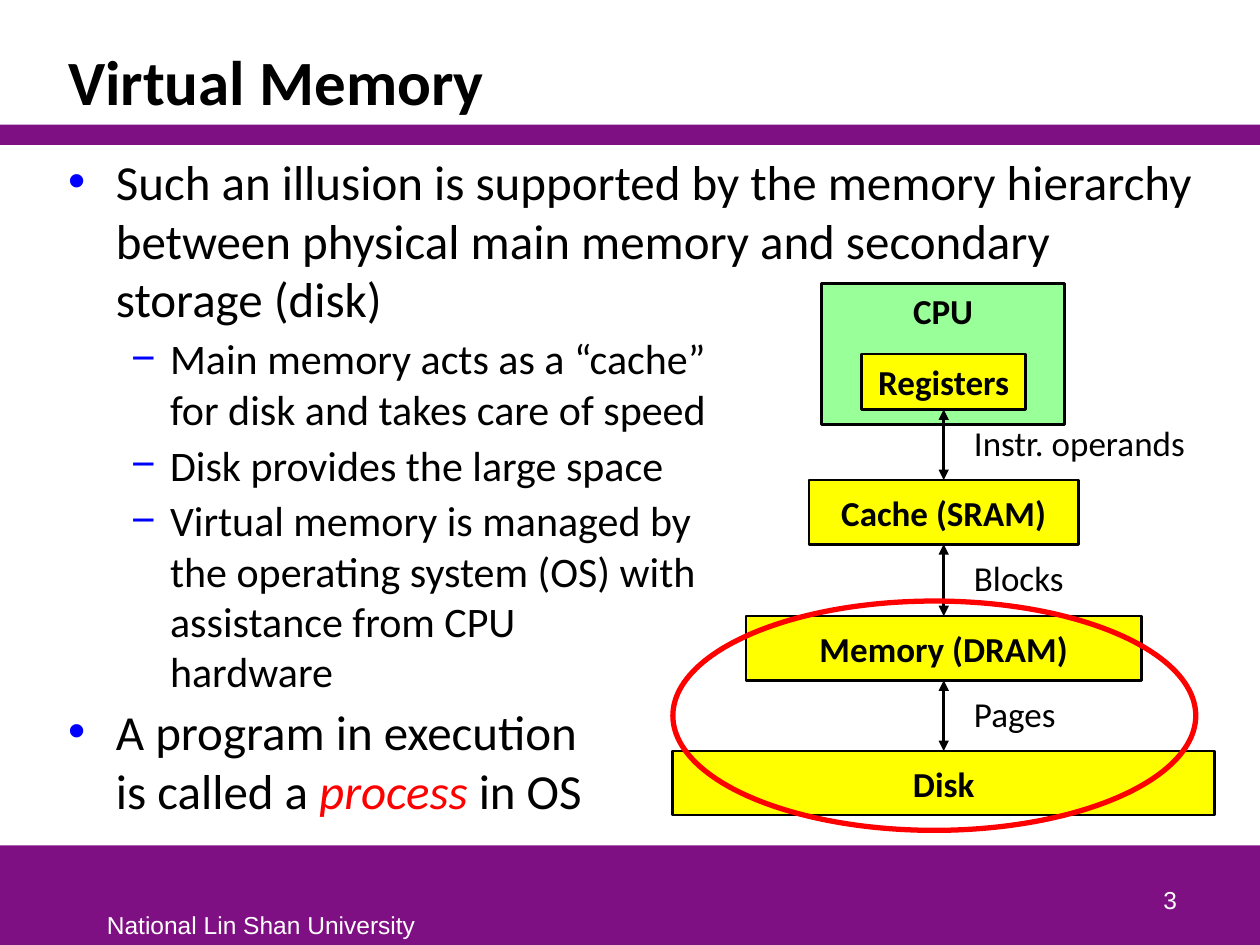
from dataclasses import dataclass

import lxml.etree
import pptx
import pptx.dml.color
import pptx.enum.shapes
import pptx.enum.text
import pptx.oxml.ns
import pptx.util

Inches = pptx.util.Inches
Pt = pptx.util.Pt
qn = pptx.oxml.ns.qn
Shape = pptx.enum.shapes.MSO_SHAPE
Anchor = pptx.enum.text.MSO_ANCHOR
Align = pptx.enum.text.PP_ALIGN

COLORS = {
    "purple": "7F1084",
    "green": "99FF99",
    "yellow": "FFFF00",
    "red": "FF0000",
    "blue": "0000FF",
    "black": "000000",
    "white": "FFFFFF",
}
AXIS = 7.49  # centre line of the memory hierarchy


@dataclass
class Level:
    """One storage level and the unit it exchanges with the level below."""
    name: str
    top: float
    width: float
    height: float = 0.51
    transfer: str = ""


@dataclass
class Bullet:
    spans: list  # (text, colour name, italic)
    level: int = 0


LEVELS = [
    Level("Registers", 2.81, 1.3, 0.44, "Instr. operands"),
    Level("Cache (SRAM)", 3.81, 2.14, transfer="Blocks"),
    Level("Memory (DRAM)", 4.89, 3.14, transfer="Pages"),
    Level("Disk", 5.96, 4.3),
]
BULLETS = [
    Bullet([("Such an illusion is supported by the memory hierarchy between "
             "physical main memory and secondary storage (disk)", "black", False)]),
    Bullet([("Main memory acts as a “cache” \nfor disk and takes care of speed",
             "black", False)], 1),
    Bullet([("Disk provides the large space", "black", False)], 1),
    Bullet([("Virtual memory is managed by \nthe operating system (OS) with\n"
             "assistance from CPU \nhardware", "black", False)], 1),
    Bullet([("A program in execution\nis called a ", "black", False),
            ("process ", "red", True), ("in OS", "black", False)]),
]
BULLET_STYLES = [("•", 28, 0.38, -0.38), ("−", 24, 0.81, -0.31)]


def rgb(name: str):
    return pptx.dml.color.RGBColor.from_string(COLORS[name])


def write(para, text: str, size: float, color: str = "black", font: str = "Calibri",
          bold: bool = False, italic: bool = False, align=None, spacing=None) -> None:
    """Append formatted text to a paragraph, with newlines as line breaks."""
    for index, line in enumerate(text.split("\n")):
        if index:
            para.add_line_break()
        span = para.add_run()
        span.text = line
        span.font.size = Pt(size)
        span.font.name = font
        span.font.bold = bold
        span.font.italic = italic
        span.font.color.rgb = rgb(color)
    if align is not None:
        para.alignment = align
    if spacing is not None:
        para.line_spacing = spacing


def place(shape, left: float, top: float, width: float, height: float) -> None:
    shape.left, shape.top = Inches(left), Inches(top)
    shape.width, shape.height = Inches(width), Inches(height)


def add_box(page, kind, left: float, top: float, width: float, height: float,
            fill: str = "", line: str = "", weight: float = 1.5, text: str = "",
            anchor=Anchor.MIDDLE):
    box = page.shapes.add_shape(kind, Inches(left), Inches(top), Inches(width), Inches(height))
    box.shadow.inherit = False
    if fill:
        box.fill.solid()
        box.fill.fore_color.rgb = rgb(fill)
    else:
        box.fill.background()
    if line:
        box.line.color.rgb = rgb(line)
        box.line.width = Pt(weight)
    else:
        box.line.fill.background()
    if text:
        box.text_frame.word_wrap = False
        box.text_frame.vertical_anchor = anchor
        write(box.text_frame.paragraphs[0], text, 20, bold=True, align=Align.CENTER)
    return box


def add_label(page, left: float, top: float, width: float, height: float, text: str,
              size: float, wrap: bool = False, anchor=Anchor.TOP, margins=(0.1, 0.05),
              **text_format) -> None:
    box = page.shapes.add_textbox(Inches(left), Inches(top), Inches(width), Inches(height))
    frame = box.text_frame
    frame.word_wrap = wrap
    frame.vertical_anchor = anchor
    frame.margin_left = frame.margin_right = Inches(margins[0])
    frame.margin_top = frame.margin_bottom = Inches(margins[1])
    write(frame.paragraphs[0], text, size, **text_format)


def add_double_arrow(page, upper, lower) -> None:
    arrow = page.shapes.add_connector(pptx.enum.shapes.MSO_CONNECTOR.STRAIGHT, 0, 0, 0, 0)
    arrow.begin_connect(upper, 2)
    arrow.end_connect(lower, 0)
    arrow.line.color.rgb = rgb("black")
    arrow.line.width = Pt(1.5)
    outline = arrow.line._get_or_add_ln()
    for end in ("a:headEnd", "a:tailEnd"):
        lxml.etree.SubElement(outline, qn(end), type="triangle")
    lxml.etree.SubElement(arrow._element.spPr, qn("a:effectLst"))


def add_bullet(para, bullet: Bullet) -> None:
    mark, size, margin, indent = BULLET_STYLES[bullet.level]
    para.level = bullet.level
    para.space_before = Pt(3)
    for text, color, italic in bullet.spans:
        write(para, text, size, color, italic=italic)
    properties = para._p.get_or_add_pPr()
    properties.set("marL", str(Inches(margin)))
    properties.set("indent", str(Inches(indent)))
    mark_color = lxml.etree.SubElement(properties, qn("a:buClr"))
    lxml.etree.SubElement(mark_color, qn("a:srgbClr"), val=COLORS["blue"])
    lxml.etree.SubElement(properties, qn("a:buChar"), char=mark)


def add_text(page) -> None:
    title, body = page.shapes.title, page.placeholders[1]
    place(title, 0.44, 0.25, 9.12, 0.74)
    place(body, 0.44, 1.15, 9.12, 5.53)
    for holder, anchor in ((title, Anchor.BOTTOM), (body, Anchor.TOP)):
        holder.text_frame.auto_size = pptx.enum.text.MSO_AUTO_SIZE.NONE
        holder.text_frame.vertical_anchor = anchor
    write(title.text_frame.paragraphs[0], "Virtual Memory", 36, bold=True,
          align=Align.LEFT, spacing=0.85)
    frame = body.text_frame
    for index, bullet in enumerate(BULLETS):
        add_bullet(frame.add_paragraph() if index else frame.paragraphs[0], bullet)


def add_hierarchy(page) -> None:
    add_box(page, Shape.RECTANGLE, AXIS - 0.97, 2.25, 1.93, 1.12, "green", "black",
            text="CPU", anchor=Anchor.TOP)
    boxes = [add_box(page, Shape.RECTANGLE, AXIS - level.width / 2, level.top, level.width,
                     level.height, "yellow", "black", text=level.name) for level in LEVELS]
    for level, upper, lower in zip(LEVELS, boxes, boxes[1:]):
        add_double_arrow(page, upper, lower)
        add_label(page, AXIS + 0.18, level.top + level.height + 0.12, 1.82, 0.34,
                  level.transfer, 20, margins=(0.06, 0.03), spacing=0.85)
    add_box(page, Shape.OVAL, 5.34, 4.77, 4.15, 1.82, line="red", weight=3)


def main() -> None:
    deck = pptx.Presentation()
    deck.slide_width, deck.slide_height = Inches(10), Inches(7.5)
    page = deck.slides.add_slide(deck.slide_layouts[1])
    for top, height in ((6.71, 0.79), (0.99, 0.16)):
        add_box(page, Shape.RECTANGLE, 0, top, 10, height, "purple")
    add_label(page, 0.75, 7.17, 3.2, 0.33, "National Lin Shan University", 14,
              color="white", font="Arial")
    add_text(page)
    add_hierarchy(page)
    add_label(page, 7.36, 6.81, 2.08, 0.5, "3", 14, wrap=True, anchor=Anchor.BOTTOM,
              color="white", font="Arial", align=Align.RIGHT)
    deck.save("out.pptx")


if __name__ == "__main__":
    main()
